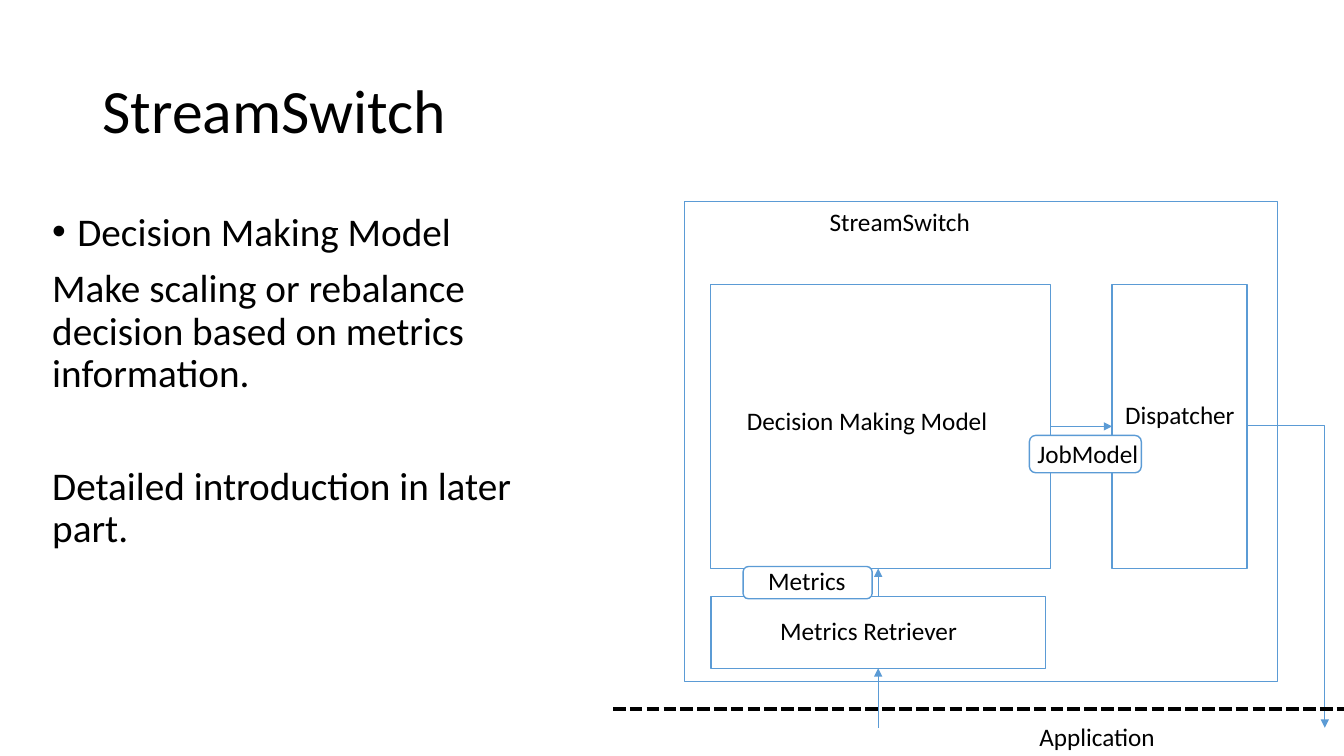
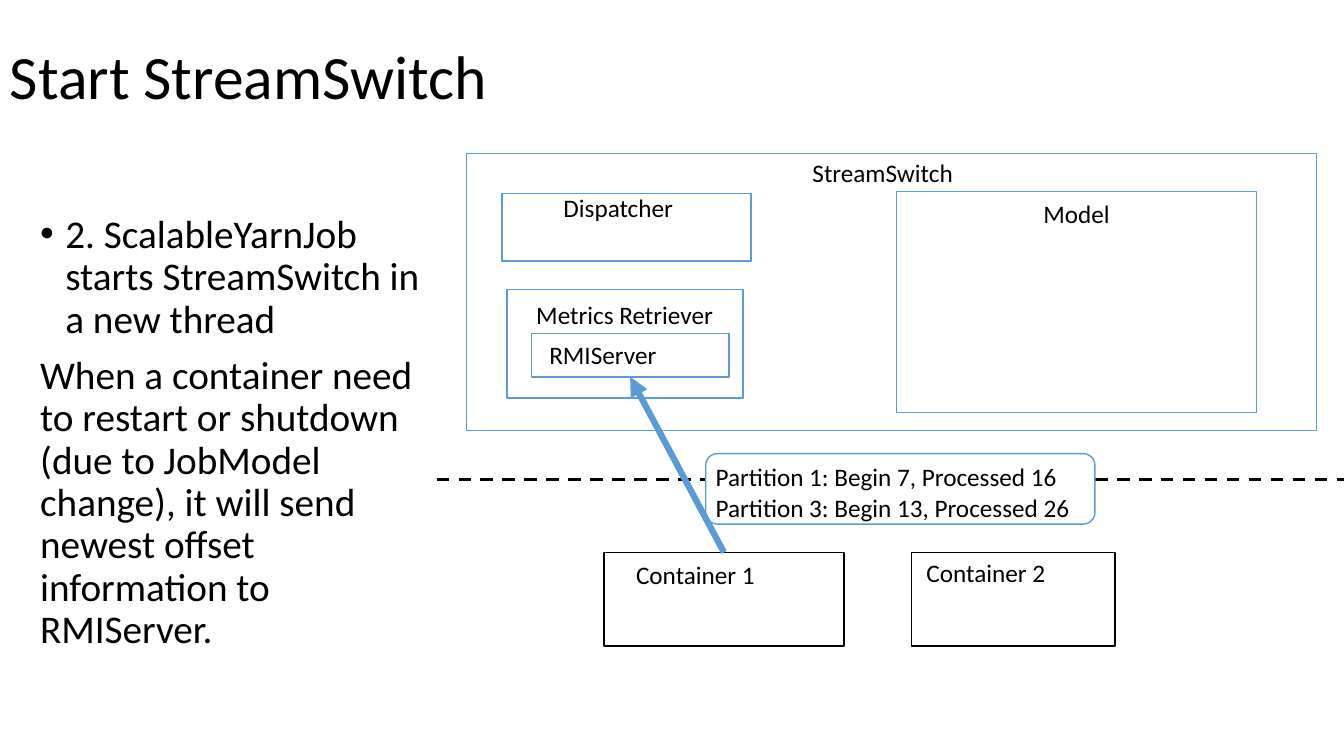
"""Builds two slides on the make-up of StreamSwitch and how it starts."""
from dataclasses import dataclass
from typing import NamedTuple, Optional, Union

from lxml.etree import SubElement as Sub
from pptx import Presentation
from pptx.dml.color import RGBColor as Rgb
from pptx.enum.dml import MSO_LINE as Dash
from pptx.enum.shapes import MSO_CONNECTOR as Link, MSO_SHAPE as Form
from pptx.enum.text import MSO_ANCHOR as Anchor
from pptx.oxml.ns import qn
from pptx.slide import Slide
from pptx.text.text import TextFrame as Frame
from pptx.util import Inches, Pt


@dataclass(frozen=True)
class Theme:
    font: str = "Calibri"
    ink: Rgb = Rgb(0, 0, 0)
    blue: Rgb = Rgb(0x5B, 0x9B, 0xD5)
    paper: Rgb = Rgb(255, 255, 255)
    head: int = 44
    body: int = 28
    note: int = 18


THEME = Theme()


class Box(NamedTuple):
    x: float
    y: float
    w: float
    h: float
    round: bool = False
    tone: Rgb = THEME.blue


class Label(NamedTuple):
    x: float
    y: float
    w: float
    lines: tuple[str, ...]


class Line(NamedTuple):
    x: float
    y: float
    to_x: float
    to_y: float
    width: float = 0.5
    dash: Optional[Dash] = None
    bent: bool = False


class Para(NamedTuple):
    text: str
    gap: float = 10
    dot: bool = False


class Page(NamedTuple):
    title: str
    spot: tuple[float, float]
    area: tuple[float, float, float, float]
    paras: tuple[Para, ...]
    marks: tuple[Union[Box, Label, Line], ...]


def add_text(slide: Slide, x: float, y: float, w: float, h: float) -> Frame:
    frame = slide.shapes.add_textbox(Inches(x), Inches(y), Inches(w), Inches(h)).text_frame
    frame.word_wrap = True
    return frame


def write(frame: Frame, paras: tuple[Para, ...], size: int, pitch: float = 1) -> None:
    for i, item in enumerate(paras):
        para = frame.add_paragraph() if i else frame.paragraphs[0]
        para.line_spacing = pitch
        para.space_before = Pt(item.gap if i else 0)
        if item.dot:
            props = para._p.get_or_add_pPr()
            props.set("marL", str(Inches(0.25)))
            props.set("indent", str(-Inches(0.25)))
            Sub(props, qn("a:buFont"), typeface="Arial")
            Sub(props, qn("a:buChar"), char="•")
        run = para.add_run()
        run.text = item.text
        run.font.name = THEME.font
        run.font.size = Pt(size)
        run.font.color.rgb = THEME.ink


def draw_box(slide: Slide, box: Box) -> None:
    form = Form.ROUNDED_RECTANGLE if box.round else Form.RECTANGLE
    shape = slide.shapes.add_shape(form, Inches(box.x), Inches(box.y), Inches(box.w), Inches(box.h))
    shape.shadow.inherit = False
    shape.fill.solid()
    shape.fill.fore_color.rgb = THEME.paper
    shape.line.color.rgb = box.tone
    shape.line.width = Pt(1)


def draw_label(slide: Slide, label: Label) -> None:
    frame = add_text(slide, label.x, label.y, label.w, 0.4 if len(label.lines) == 1 else 0.71)
    write(frame, tuple(Para(text, 0) for text in label.lines), THEME.note)


def draw_line(slide: Slide, line: Line) -> None:
    x, y, to_x, to_y = line[:4]
    if line.bent:
        mid_x, mid_y = (x + to_x) / 2, (y + to_y) / 2
        half_w, half_h = (to_y - y) / 2, (to_x - x) / 2
        x, to_x = mid_x + half_w, mid_x - half_w
        y, to_y = mid_y - half_h, mid_y + half_h
    link = slide.shapes.add_connector(
        Link.ELBOW if line.bent else Link.STRAIGHT, Inches(x), Inches(y), Inches(to_x), Inches(to_y))
    props = link._element.spPr
    if line.bent:
        props.find(qn("a:xfrm")).set("rot", "16200000")
        geom = props.find(qn("a:prstGeom"))
        guides = geom.find(qn("a:avLst"))
        if guides is None:
            guides = Sub(geom, qn("a:avLst"))
        Sub(guides, qn("a:gd"), name="adj1", fmla="val -400")
    link.line.color.rgb = THEME.ink if line.dash else THEME.blue
    link.line.width = Pt(line.width)
    if line.dash:
        link.line.dash_style = line.dash
    else:
        Sub(props.find(qn("a:ln")), qn("a:tailEnd"), type="triangle")
    Sub(props, qn("a:effectLst"))


DRAW = {Box: draw_box, Label: draw_label, Line: draw_line}

PAGES = (
    Page(
        "StreamSwitch", (0.92, 0.4), (0.42, 2.06, 5.03, 4.76),
        (
            Para("Decision Making Model", dot=True),
            Para("Make scaling or rebalance decision based on metrics information."),
            Para("Detailed introduction in later part.", gap=50.5),
        ),
        (
            Box(6.79, 2, 5.88, 4.76),
            Label(8.13, 2, 3.2, ("StreamSwitch",)),
            Box(7.05, 2.82, 3.37, 2.82),
            Box(11.03, 2.82, 1.34, 2.82),
            Label(11.06, 3.91, 1.42, ("Dispatcher",)),
            Box(7.05, 5.92, 3.32, 0.71),
            Label(7.64, 6.06, 2.2, ("Metrics Retriever",)),
            Line(10.42, 4.23, 11.03, 4.23),
            Line(8.71, 5.92, 8.71, 5.64),
            Line(12.37, 4.23, 13.14, 7.22, bent=True),
            Line(8.71, 7.22, 8.71, 6.63),
            Line(6.08, 7.03, 13.33, 7.03, 3, Dash.SQUARE_DOT),
            Label(10.21, 7.11, 2.55, ("Application",)),
            Label(7.31, 3.97, 2.85, ("Decision Making Model",)),
            Box(10.21, 4.32, 1.11, 0.37, round=True),
            Label(10.19, 4.3, 1.26, ("JobModel",)),
            Box(7.37, 5.62, 1.28, 0.32, round=True),
            Label(7.52, 5.56, 0.99, ("Metrics",)),
        ),
    ),
    Page(
        "Start StreamSwitch", (0, 0.06), (0.3, 2.08, 4.21, 4.76),
        (
            Para("2. ScalableYarnJob starts StreamSwitch in a new thread", dot=True),
            Para("When a container need to restart or shutdown (due to JobModel change), "
                 "it will send newest offset information to RMIServer."),
        ),
        (
            Box(4.63, 1.52, 8.43, 2.75),
            Label(7.96, 1.51, 1.88, ("StreamSwitch",)),
            Box(4.98, 1.92, 2.47, 0.67),
            Label(5.49, 1.86, 1.44, ("Dispatcher",)),
            Box(5.03, 2.87, 2.34, 1.08),
            Label(5.22, 2.92, 2.05, ("Metrics Retriever",)),
            Box(8.89, 1.9, 3.57, 2.19),
            Label(10.25, 1.92, 1.24, ("Model",)),
            Box(5.99, 5.48, 2.38, 0.93, tone=THEME.ink),
            Label(6.21, 5.5, 2.05, ("Container 1",)),
            Line(4.33, 4.76, 13.33, 4.76, 2.25, Dash.DASH),
            Box(9.04, 5.48, 2.02, 0.93, tone=THEME.ink),
            Label(9.09, 5.48, 2.05, ("Container 2",)),
            Box(7, 4.5, 3.86, 0.7, round=True),
            Label(7, 4.53, 3.86, (
                "Partition 1: Begin 7, Processed 16",
                "Partition 3: Begin 13, Processed 26",
            )),
            Line(7.18, 5.48, 6.25, 3.74, 4.5),
            Box(5.27, 3.31, 1.96, 0.43),
            Label(5.35, 3.32, 1.8, ("RMIServer",)),
        ),
    ),
)


def main() -> None:
    deck = Presentation()
    deck.slide_width, deck.slide_height = Inches(13.33), Inches(7.5)
    for page in PAGES:
        slide = deck.slides.add_slide(deck.slide_layouts[6])
        title = add_text(slide, *page.spot, 11.5, 1.45)
        title.vertical_anchor = Anchor.MIDDLE
        write(title, (Para(page.title),), THEME.head, 0.9)
        write(add_text(slide, *page.area), page.paras, THEME.body, 0.9)
        for mark in page.marks:
            DRAW[type(mark)](slide, mark)
    deck.save("out.pptx")


if __name__ == "__main__":
    main()
